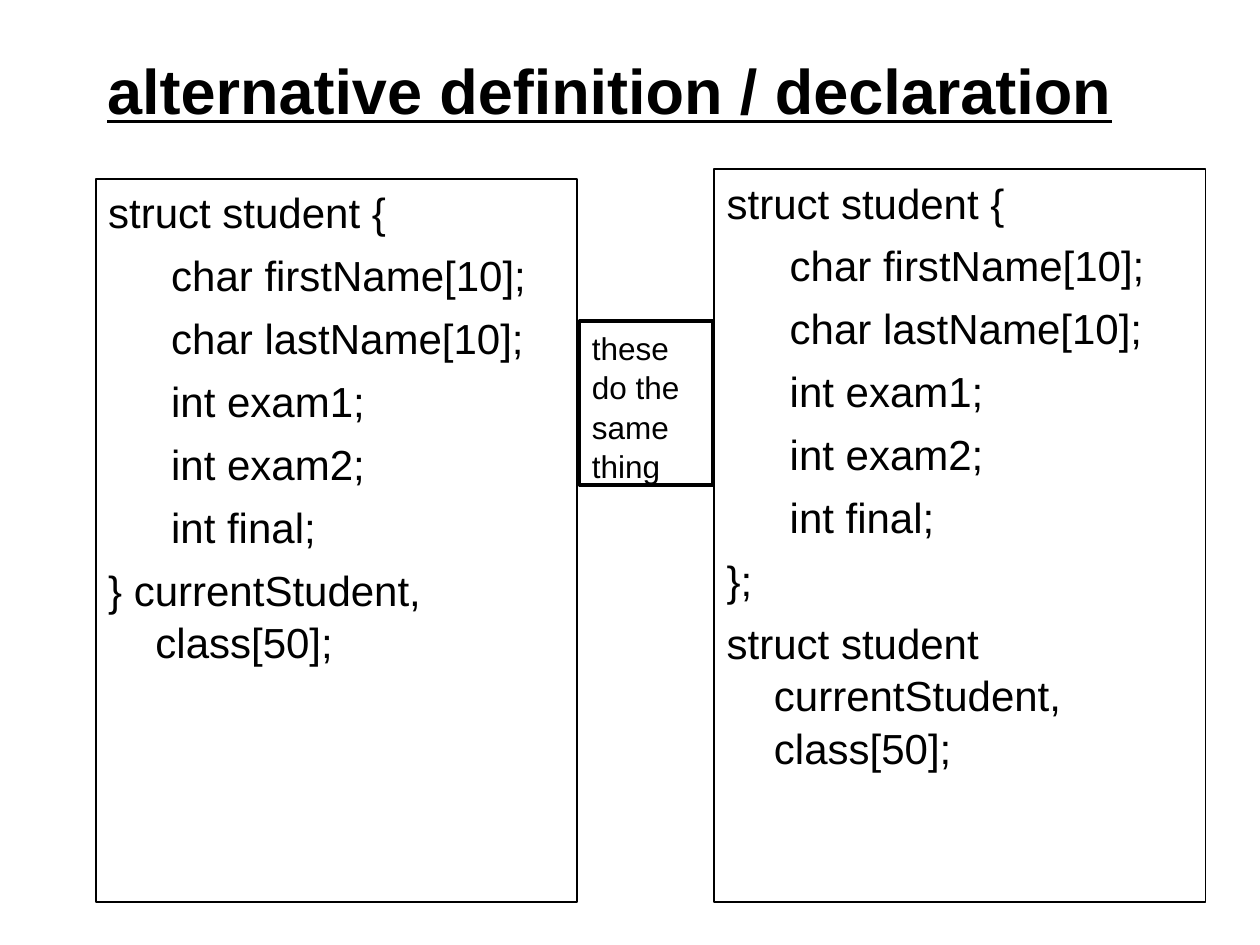
import pptx
import pptx.util
import pptx.dml.color
import pptx.enum.text

Pt = pptx.util.Pt
INK = "000000"
FONT = "Arial"
TITLE = "alternative definition / declaration"
FIELDS = ["char firstName[10];", "char lastName[10];",
          "int exam1;", "int exam2;", "int final;"]
HEAD = "struct student {"
NOTE = "these do the same thing"
BLOCKS = [
    ((54.7, 102.2, 275, 413.3), ["} currentStudent, class[50];"]),
    ((408.2, 96.5, 280.8, 419), ["};", "struct student currentStudent, class[50];"]),
]
INDENT = {0: (27, -27), 1: (58.5, -22.5)}


def color(code):
    return pptx.dml.color.RGBColor.from_string(code)


def write(para, text, size, bold=None, under=None):
    run = para.add_run()
    run.text = text
    font = run.font
    font.name, font.size = FONT, Pt(size)
    font.bold, font.underline = bold, under
    font.color.rgb = color(INK)


def add_box(slide, area, width):
    box = slide.shapes.add_textbox(*map(Pt, area))
    box.line.color.rgb = color(INK)
    box.line.width = Pt(width)
    box.text_frame.word_wrap = True
    return box.text_frame


def add_code(slide, area, tail):
    frame = add_box(slide, area, 1)
    lines = [(0, HEAD)] + [(1, t) for t in FIELDS] + [(0, t) for t in tail]
    for i, (level, text) in enumerate(lines):
        para = frame.add_paragraph() if i else frame.paragraphs[0]
        para.level = level
        para.space_before = Pt(6)
        para.line_spacing = 1.04
        left, first = INDENT[level]
        props = para._p.get_or_add_pPr()
        props.set("marL", str(Pt(left)))
        props.set("indent", str(Pt(first)))
        write(para, text, 24)


def main():
    deck = pptx.Presentation()
    deck.slide_width, deck.slide_height = Pt(720), Pt(540)
    slide = deck.slides.add_slide(deck.slide_layouts[5])

    title = slide.shapes.title
    title.left, title.top, title.width, title.height = map(Pt, (54, 18, 612, 66))
    frame = title.text_frame
    frame.vertical_anchor = pptx.enum.text.MSO_ANCHOR.MIDDLE
    frame.auto_size = pptx.enum.text.MSO_AUTO_SIZE.NONE
    frame.paragraphs[0].alignment = pptx.enum.text.PP_ALIGN.LEFT
    write(frame.paragraphs[0], TITLE, 36, True, True)

    for area, tail in BLOCKS:
        add_code(slide, area, tail)

    note = add_box(slide, (331.2, 183.6, 76.3, 93.6), 2)
    note.auto_size = pptx.enum.text.MSO_AUTO_SIZE.SHAPE_TO_FIT_TEXT
    note.paragraphs[0].line_spacing = 1.04
    write(note.paragraphs[0], NOTE, 18)

    deck.save("out.pptx")


if __name__ == "__main__":
    main()
